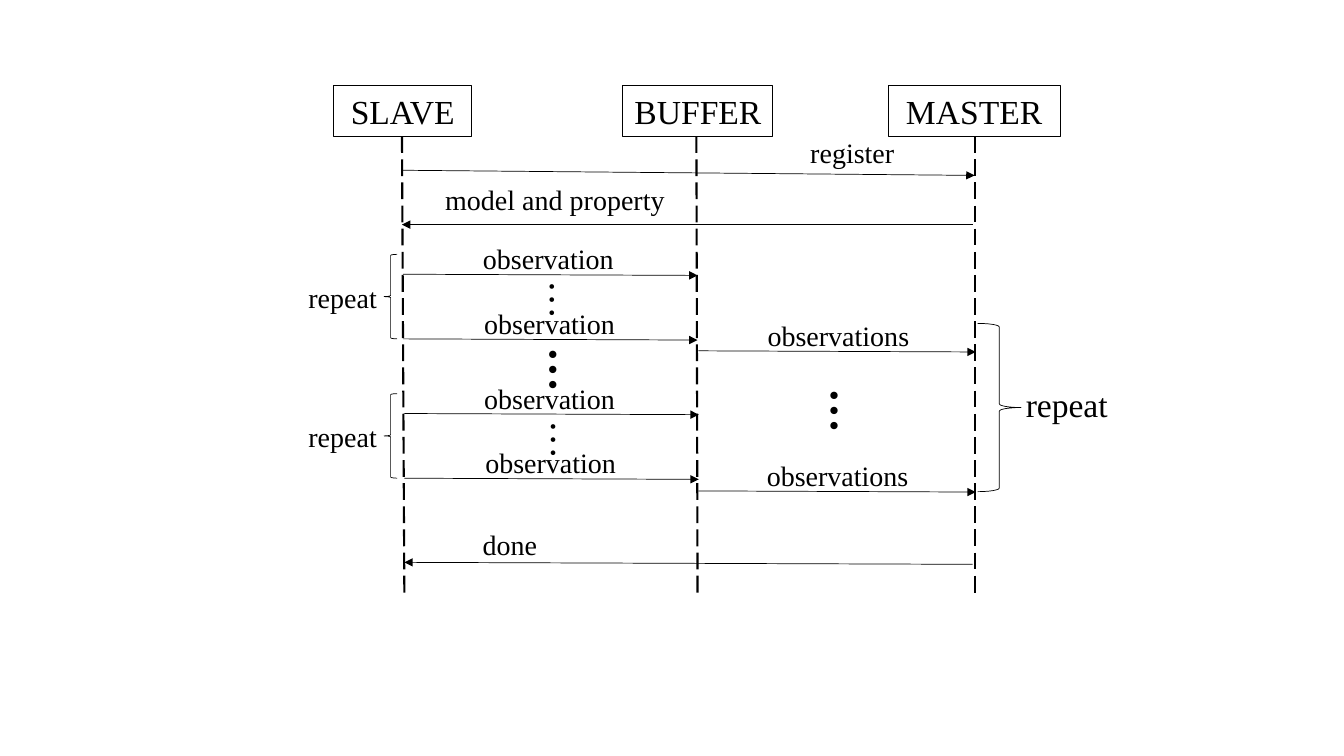
from dataclasses import dataclass

from lxml.etree import SubElement
from pptx import Presentation
from pptx.dml.color import RGBColor
from pptx.enum.dml import MSO_LINE
from pptx.enum.shapes import MSO_CONNECTOR, MSO_SHAPE
from pptx.enum.text import MSO_AUTO_SIZE, PP_ALIGN
from pptx.oxml.ns import qn
from pptx.util import Cm, Pt


@dataclass(frozen=True)
class Theme:
    ink: RGBColor = RGBColor(0, 0, 0)
    font: str = "Times New Roman"
    heading: int = 24
    message: int = 20
    small_dots: int = 28
    large_dots: int = 32
    thin: float = 0.5
    frame: float = 0.75
    lifeline: float = 1.5


THEME = Theme()
LABEL_WIDTH = 7.06
LABEL_HEIGHT = 1.12
ARROW_DROP = 0.94
ARROW_SLOPE = 0.03


def add_text(shapes, box, wording, size, align=PP_ALIGN.CENTER, bold=False):
    label = shapes.add_textbox(*map(Cm, box))
    frame = label.text_frame
    frame.word_wrap = True
    frame.auto_size = MSO_AUTO_SIZE.SHAPE_TO_FIT_TEXT
    paragraph = frame.paragraphs[0]
    paragraph.alignment = align
    run = paragraph.add_run()
    run.text = wording
    run.font.name = THEME.font
    run.font.size = Pt(size)
    run.font.bold = bold
    run.font.color.rgb = THEME.ink
    return label


def add_dots(shapes, box, size, bold=False):
    dots = add_text(shapes, box, "…", size, PP_ALIGN.LEFT, bold)
    dots.text_frame._txBody.bodyPr.set("vert", "eaVert")


def add_line(shapes, start, end, width):
    line = shapes.add_connector(MSO_CONNECTOR.STRAIGHT, *map(Cm, start + end))
    line.line.color.rgb = THEME.ink
    line.line.width = Pt(width)
    SubElement(line._element.spPr, qn("a:effectLst"))
    return line


def add_arrow(shapes, start, end):
    arrow = add_line(shapes, start, end, THEME.thin)
    SubElement(arrow.line._get_or_add_ln(), qn("a:tailEnd"), type="triangle")


def add_brace(shapes, kind, box):
    brace = shapes.add_shape(kind, *map(Cm, box))
    brace.shadow.inherit = False
    brace.fill.background()
    brace.line.color.rgb = THEME.ink
    brace.line.width = Pt(THEME.thin)


def add_participant(shapes, box, name, lifeline_top, lifeline_foot):
    left, top, width, height = box
    heading = add_text(shapes, box, name, THEME.heading)
    heading.text_frame.word_wrap = False
    heading.line.color.rgb = THEME.ink
    heading.line.width = Pt(THEME.frame)
    lifeline = add_line(shapes, (lifeline_top, top + height),
                        (lifeline_foot, 14.96), THEME.lifeline)
    lifeline.line.dash_style = MSO_LINE.LONG_DASH


def add_message(shapes, left, top, reach, wording, label_shift):
    add_arrow(shapes, (left, top + ARROW_DROP),
              (left + reach, top + ARROW_DROP + ARROW_SLOPE))
    add_text(shapes, (left + label_shift, top, LABEL_WIDTH, LABEL_HEIGHT),
             wording, THEME.message)


def add_observation_burst(shapes, left, top):
    burst = shapes.add_group_shape().shapes
    for row in range(2):
        add_message(burst, left, top + row * 1.63, 7.42, "observation",
                    0.13 + row * 0.03)
    add_dots(burst, (left + 3.12, top + 0.86, 1.7, 1.52), THEME.small_dots)
    add_brace(shapes, MSO_SHAPE.LEFT_BRACE, (9.68, top + 0.44, 0.33, 2.13))
    add_text(shapes, (7.3, top + 0.97, 2.67, LABEL_HEIGHT), "repeat",
             THEME.message)


def add_slave_to_buffer(shapes, left, top):
    for turn in range(2):
        add_observation_burst(shapes, left + turn * 0.03, top + turn * 3.51)
    add_dots(shapes, (left + 3.07, top + 2.54, 1.88, 1.52),
             THEME.large_dots, bold=True)


def add_buffer_to_master(shapes, left, top):
    for turn in range(2):
        add_message(shapes, left, top + turn * 3.53, 6.99, "observations",
                    -turn * 0.02)
    add_dots(shapes, (left + 2.72, top + 1.65, 1.88, 1.52),
             THEME.large_dots, bold=True)
    add_brace(shapes, MSO_SHAPE.RIGHT_BRACE,
              (left + 7.04, top + 0.25, 1.09, 4.24))
    add_text(shapes, (left + 7.95, top + 1.65, 2.67, 1.27), "repeat",
             THEME.heading)


def add_handshake(shapes, left, top):
    add_arrow(shapes, (left, top + 0.99), (left + 14.43, top + 1.12))
    add_text(shapes, (left + 10.04, top, 3.4, LABEL_HEIGHT), "register",
             THEME.message, PP_ALIGN.LEFT)
    add_arrow(shapes, (left + 14.38, top + 2.36), (left, top + 2.36))
    add_text(shapes, (left + 0.84, top + 1.17, LABEL_WIDTH, LABEL_HEIGHT),
             "model and property", THEME.message, PP_ALIGN.LEFT)


def add_completion(shapes, left, top):
    add_arrow(shapes, (left + 14.32, top + 1.06), (left, top + 1.01))
    add_text(shapes, (left - 0.87, top, LABEL_WIDTH, LABEL_HEIGHT), "done",
             THEME.message)


def main():
    deck = Presentation()
    deck.slide_width, deck.slide_height = Cm(33.87), Cm(19.05)
    shapes = deck.slides.add_slide(deck.slide_layouts[6]).shapes
    participants = (
        ("SLAVE", 8.41, 3.48, 10.13, 10.19),
        ("BUFFER", 15.7, 3.78, 17.55, 17.58),
        ("MASTER", 22.38, 4.34, 24.56, 24.56),
    )
    for name, left, width, lifeline_top, lifeline_foot in participants:
        add_participant(shapes, (left, 2.16, width, 1.27), name,
                        lifeline_top, lifeline_foot)
    add_handshake(shapes, 10.13, 3.3)
    add_slave_to_buffer(shapes, 10.16, 5.97)
    add_buffer_to_master(shapes, 17.6, 7.9)
    add_completion(shapes, 10.19, 13.16)
    deck.save("out.pptx")


if __name__ == "__main__":
    main()
